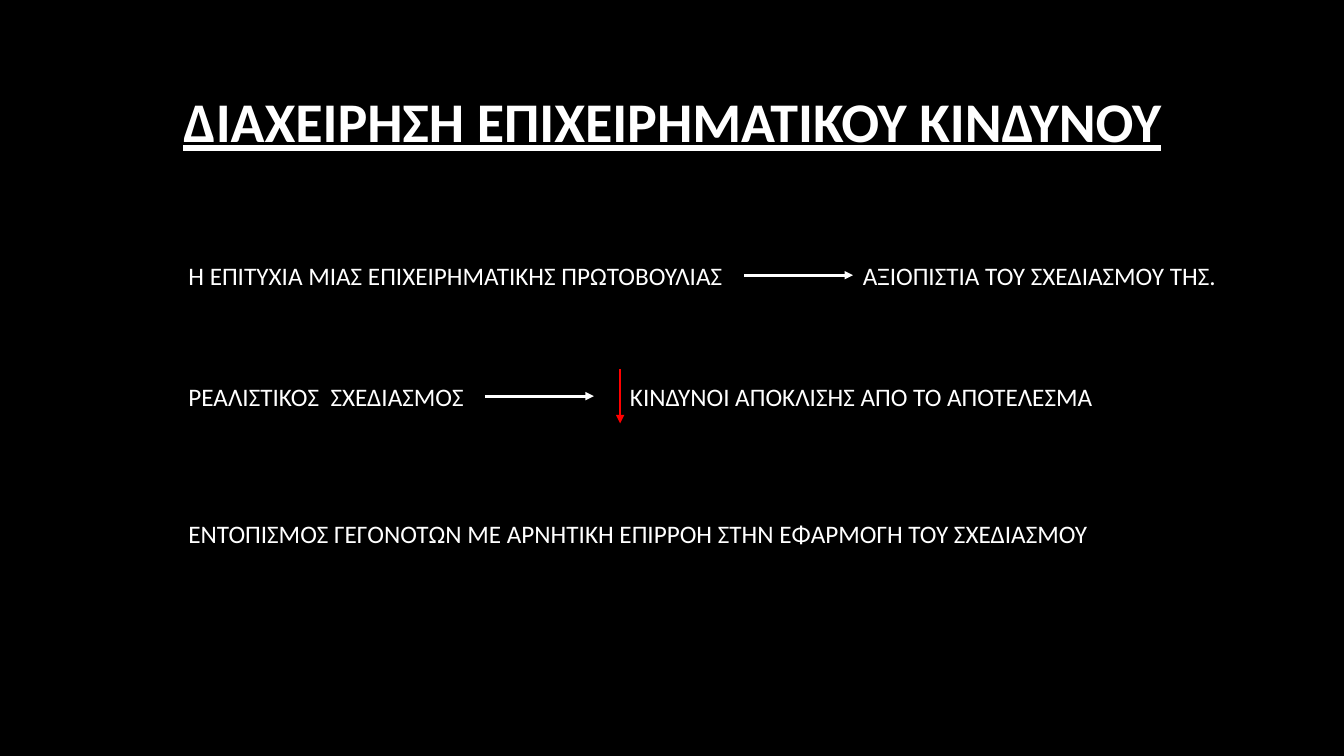
from lxml import etree
from pptx import Presentation
from pptx import util as u
from pptx.dml.color import RGBColor
from pptx.enum import shapes, text
from pptx.oxml.ns import qn

WHITE, RED, BLACK = "FFFFFF", "FF0000", "000000"
LEFT = 1.77


def color(value):
    return RGBColor.from_string(value)


def add_label(slide, box, wording, size=18, anchor=text.MSO_ANCHOR.TOP):
    frame = slide.shapes.add_textbox(*map(u.Inches, box)).text_frame
    frame.word_wrap = True
    frame.vertical_anchor = anchor
    paragraph = frame.paragraphs[0]
    paragraph.text = wording
    paragraph.font.name = "Calibri"
    paragraph.font.size = u.Pt(size)
    paragraph.font.color.rgb = color(WHITE)
    return paragraph


def add_arrow(slide, x, y, dx, dy, tint):
    arrow = slide.shapes.add_connector(
        shapes.MSO_CONNECTOR.STRAIGHT, *map(u.Inches, (x, y, x + dx, y + dy)))
    arrow.line.color.rgb = color(tint)
    arrow.line.width = u.Pt(2)
    etree.SubElement(arrow.line._get_or_add_ln(), qn("a:tailEnd"), type="triangle")
    etree.SubElement(arrow._element.spPr, qn("a:effectLst"))


def add_title(slide, box):
    title = add_label(slide, box, "ΔΙΑΧΕΙΡΗΣΗ ΕΠΙΧΕΙΡΗΜΑΤΙΚΟΥ ΚΙΝΔΥΝΟΥ",
                      40, text.MSO_ANCHOR.MIDDLE)
    title.alignment = text.PP_ALIGN.CENTER
    title.font.bold = True
    title.font.underline = True


def add_relation(slide, box, cause, arrow_x, effect, effect_x, effect_width):
    left, top, width, height = box
    add_label(slide, box, cause)
    add_arrow(slide, left + arrow_x, top + height / 2, 1.08, 0, WHITE)
    add_label(slide, (left + effect_x, top, effect_width, height), effect)


def add_decline(slide, box):
    left, top, _, height = box
    add_arrow(slide, left, top, 0, height, RED)


def add_conclusion(slide, box):
    add_label(slide, box,
              "ΕΝΤΟΠΙΣΜΟΣ ΓΕΓΟΝΟΤΩΝ ΜΕ ΑΡΝΗΤΙΚΗ ΕΠΙΡΡΟΗ ΣΤΗΝ ΕΦΑΡΜΟΓΗ ΤΟΥ ΣΧΕΔΙΑΣΜΟΥ",
              anchor=text.MSO_ANCHOR.MIDDLE)


def main():
    deck = Presentation()
    deck.slide_width, deck.slide_height = u.Inches(13.33), u.Inches(7.5)
    slide = deck.slides.add_slide(deck.slide_layouts[6])
    slide.background.fill.solid()
    slide.background.fill.fore_color.rgb = color(BLACK)

    add_title(slide, (0.64, 0.77, 12.06, 0.84))
    add_relation(slide, (LEFT, 2.53, 5.61, 0.4),
                 "Η ΕΠΙΤΥΧΙΑ ΜΙΑΣ ΕΠΙΧΕΙΡΗΜΑΤΙΚΗΣ ΠΡΩΤΟΒΟΥΛΙΑΣ", 5.61,
                 "ΑΞΙΟΠΙΣΤΙΑ ΤΟΥ ΣΧΕΔΙΑΣΜΟΥ ΤΗΣ.", 6.69, 3.94)
    add_relation(slide, (LEFT, 3.73, 3.11, 0.4),
                 "ΡΕΑΛΙΣΤΙΚΟΣ  ΣΧΕΔΙΑΣΜΟΣ", 3.04,
                 "ΚΙΝΔΥΝΟΙ ΑΠΟΚΛΙΣΗΣ ΑΠΟ ΤΟ ΑΠΟΤΕΛΕΣΜΑ", 4.38, 4.83)
    add_decline(slide, (6.15, 3.66, 0, 0.54))
    add_conclusion(slide, (LEFT, 4.94, 9.63, 0.71))
    deck.save("out.pptx")


if __name__ == "__main__":
    main()
